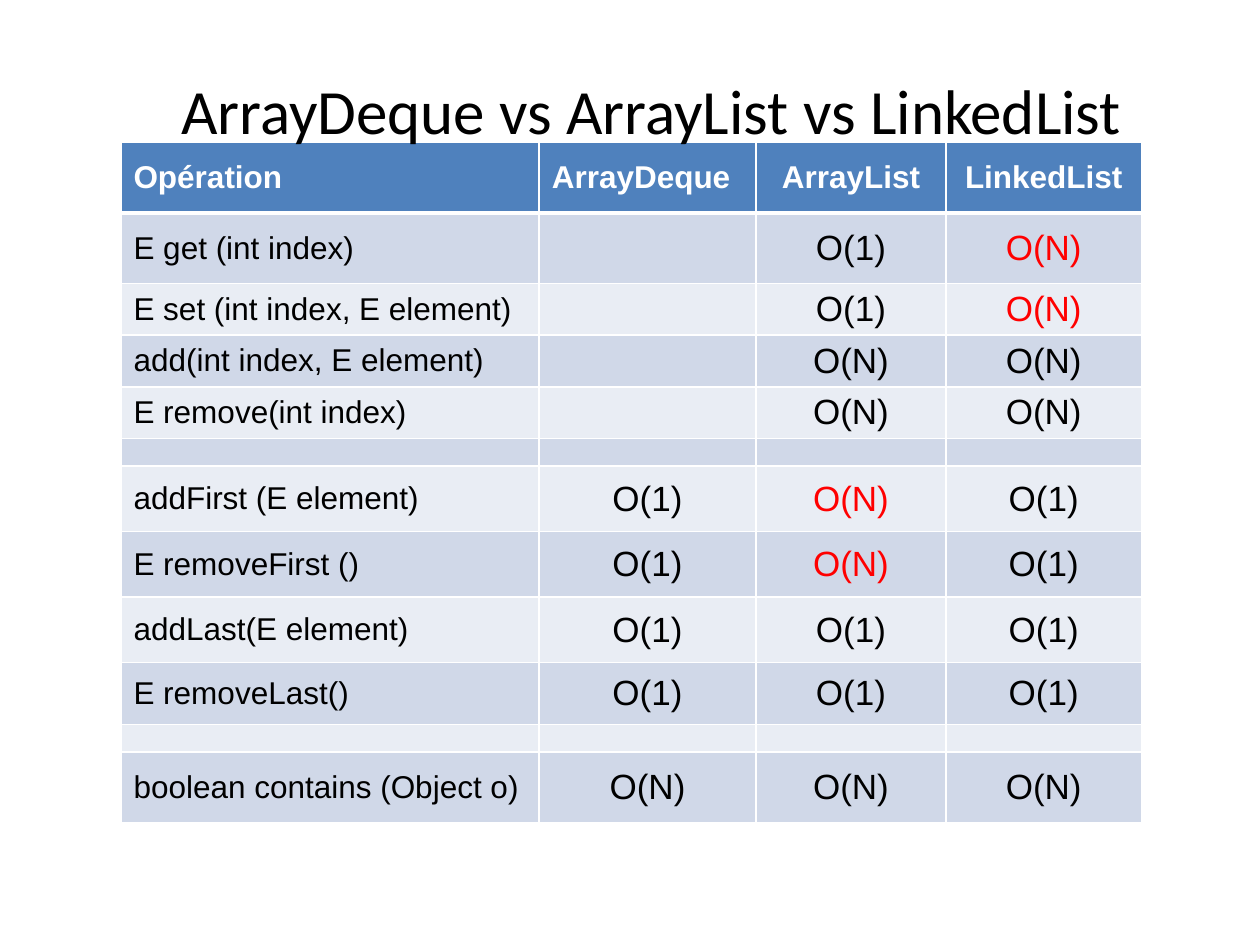
import dataclasses

import pptx
import pptx.dml.color
import pptx.enum.text
import pptx.oxml
import pptx.oxml.ns
import pptx.util

Inches = pptx.util.Inches
Pt = pptx.util.Pt
ALIGN = pptx.enum.text.PP_ALIGN
MIDDLE = pptx.enum.text.MSO_ANCHOR.MIDDLE

COLORS = {
    "head": "4F81BD",
    "odd": "D0D8E8",
    "even": "E9EDF4",
    "line": "FFFFFF",
    "text": "000000",
    "slow": "FF0000",
}


@dataclasses.dataclass
class Row:
    height: float
    texts: tuple[str, ...] = ("", "", "", "")
    slow: tuple[int, ...] = ()  # columns shown in red


WIDTHS = (3.32, 1.72, 1.51, 1.55)
GAP = 0.22
ROWS = (
    Row(0.56, ("Opération", "ArrayDeque", "ArrayList", "LinkedList")),
    Row(0.56, ("E get (int index)", "", "O(1)", "O(N)"), (3,)),
    Row(0.41, ("E set (int index, E element)", "", "O(1)", "O(N)"), (3,)),
    Row(0.41, ("add(int index, E element)", "", "O(N)", "O(N)")),
    Row(0.41, ("E remove(int index)", "", "O(N)", "O(N)")),
    Row(GAP),
    Row(0.52, ("addFirst (E element)", "O(1)", "O(N)", "O(1)"), (2,)),
    Row(0.52, ("E removeFirst ()", "O(1)", "O(N)", "O(1)"), (2,)),
    Row(0.52, ("addLast(E element)", "O(1)", "O(1)", "O(1)")),
    Row(0.49, ("E removeLast()", "O(1)", "O(1)", "O(1)")),
    Row(GAP),
    Row(0.56, ("boolean contains (Object o)", "O(N)", "O(N)", "O(N)")),
)


def rgb(name: str) -> pptx.dml.color.RGBColor:
    return pptx.dml.color.RGBColor.from_string(COLORS[name])


def add_run(para, text: str, font: str, size: int, color: str, bold: bool = False) -> None:
    run = para.add_run()
    run.text = text
    run.font.name = font
    run.font.size = Pt(size)
    run.font.bold = bold
    run.font.color.rgb = rgb(color)


def set_edges(cell, widths: dict[str, int]) -> None:
    """Draw cell borders; call before the fill, which must follow them in the XML."""
    props = cell._tc.get_or_add_tcPr()
    for side, width in widths.items():
        props.append(pptx.oxml.parse_xml(
            f'<a:ln{side} {pptx.oxml.ns.nsdecls("a")} w="{Pt(width)}"><a:solidFill>'
            f'<a:srgbClr val="{COLORS["line"]}"/></a:solidFill></a:ln{side}>'
        ))


def fill_cell(cell, row: Row, line: int, col: int) -> None:
    head = line == 0
    top = 3 if line == 1 else 1
    set_edges(cell, {"L": 1, "R": 1, "T": top, "B": 3 if head else 1})
    shade = "head" if head else "odd" if line % 2 else "even"
    cell.fill.solid()
    cell.fill.fore_color.rgb = rgb(shade)
    cell.vertical_anchor = MIDDLE

    para = cell.text_frame.paragraphs[0]
    text = row.texts[col]
    if not text:
        # A small end mark lets the separator rows stay thin
        para._p.append(pptx.oxml.parse_xml(
            f'<a:endParaRPr {pptx.oxml.ns.nsdecls("a")} sz="700"/>'
        ))
        return
    left = col == 0 or (head and col == 1)
    para.alignment = ALIGN.LEFT if left else ALIGN.CENTER
    size = 18 if head or col == 0 else 20
    color = "line" if head else "slow" if col in row.slow else "text"
    add_run(para, text, "Arial", size, color, head)


def add_grid(slide):
    frame = slide.shapes.add_table(
        len(ROWS), len(WIDTHS), Inches(0.96), Inches(1.13),
        Inches(sum(WIDTHS)), Inches(sum(row.height for row in ROWS)),
    )
    table = frame.table
    for col, width in enumerate(WIDTHS):
        table.columns[col].width = Inches(width)
    for line, row in enumerate(ROWS):
        table.rows[line].height = Inches(row.height)
        for col in range(len(WIDTHS)):
            fill_cell(table.cell(line, col), row, line, col)
    return frame


def set_title(slide, text: str) -> None:
    title = slide.shapes.title
    title.left, title.top = Inches(0.67), Inches(0.47)
    title.width, title.height = Inches(9), Inches(0.8)
    frame = title.text_frame
    frame.auto_size = pptx.enum.text.MSO_AUTO_SIZE.NONE
    frame.vertical_anchor = MIDDLE
    para = frame.paragraphs[0]
    para.alignment = ALIGN.CENTER
    add_run(para, text, "Calibri", 36, "text")


def main() -> None:
    deck = pptx.Presentation()
    deck.slide_width, deck.slide_height = Inches(10), Inches(7.5)
    slide = deck.slides.add_slide(deck.slide_layouts[5])
    set_title(slide, "ArrayDeque vs ArrayList vs LinkedList")
    grid = add_grid(slide)
    # The title lies over the top edge of the table
    slide.shapes.title._element.addprevious(grid._element)
    deck.save("out.pptx")


if __name__ == "__main__":
    main()
